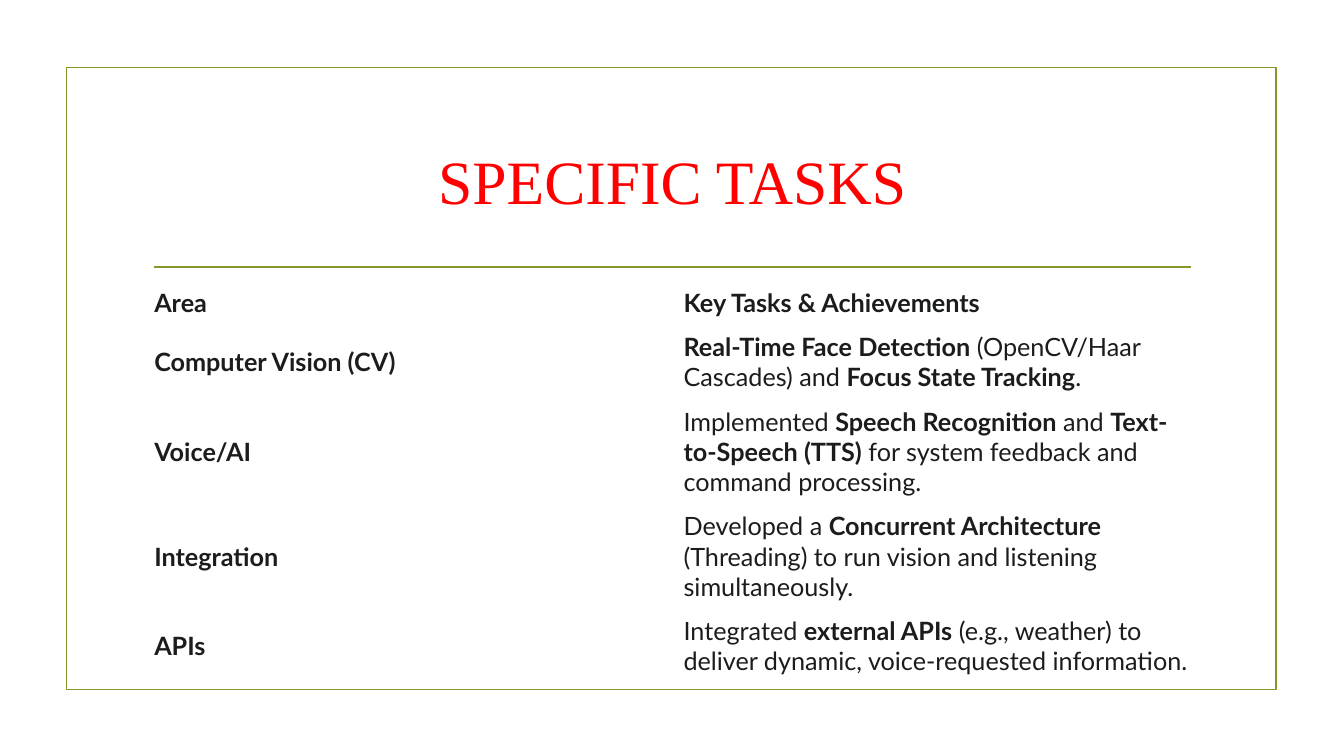
from lxml import etree
from pptx import Presentation
from pptx.dml.color import RGBColor
from pptx.enum import shapes, text
from pptx.oxml import ns
from pptx.util import Inches, Pt

COLORS = {"olive": "83992A", "title": "FF0000", "body": "1B1C1D", "border": "FFFFFF"}
TITLE = "SPECIFIC TASKS"
# Each cell is a list of spans: (wording, bold)
ROWS = [
    ([("Area", True)], [("Key Tasks & Achievements", True)]),
    ([("Computer Vision (CV)", True)],
     [("Real-Time Face Detection", True), (" (OpenCV/Haar Cascades) and ", False),
      ("Focus State Tracking", True), (".", False)]),
    ([("Voice/AI", True)],
     [("Implemented ", False), ("Speech Recognition", True), (" and ", False),
      ("Text-to-Speech (TTS)", True),
      (" for system feedback and command processing.", False)]),
    ([("Integration", True)],
     [("Developed a ", False), ("Concurrent Architecture", True),
      (" (Threading) to run vision and listening simultaneously.", False)]),
    ([("APIs", True)],
     [("Integrated ", False), ("external APIs", True),
      (" (e.g., weather) to deliver dynamic, voice-requested information.", False)]),
]
ROW_HEIGHTS = [0.41, 0.67, 0.94, 0.94, 0.67]
LEFT, WIDTH, TABLE_TOP = 1.42, 10.5, 2.78
INSET_X, INSET_Y = 0.11, 0.07


def color(name):
    return RGBColor.from_string(COLORS[name])


def style_font(font, face, size, name):
    font.name, font.size = face, Pt(size)
    font.color.rgb = color(name)


def add_borders(cell):
    properties = cell._tc.get_or_add_tcPr()
    for index, side in enumerate(("lnL", "lnR", "lnT", "lnB")):
        line = etree.Element(ns.qn(f"a:{side}"), w=str(Pt(0.75)))
        fill = etree.SubElement(line, ns.qn("a:solidFill"))
        etree.SubElement(fill, ns.qn("a:srgbClr"), val=COLORS["border"])
        properties.insert(index, line)


def fill_cell(cell, spans):
    cell.fill.background()
    add_borders(cell)
    cell.margin_left = cell.margin_right = Inches(INSET_X)
    cell.margin_top = cell.margin_bottom = Inches(INSET_Y)
    cell.vertical_anchor = text.MSO_ANCHOR.MIDDLE
    para = cell.text_frame.paragraphs[0]
    style_font(para.font, "Lato", 18, "body")
    for wording, bold in spans:
        span = para.add_run()
        span.text = wording
        span.font.bold = bold


def add_frame(page):
    frame = page.shapes.add_shape(shapes.MSO_SHAPE.RECTANGLE, Inches(0.66),
                                  Inches(0.67), Inches(12), Inches(6.17))
    frame.shadow.inherit = False
    frame.fill.background()
    frame.line.color.rgb = color("olive")
    frame.line.width = Pt(1.25)


def add_rule(page):
    y = Inches(2.65)
    rule = page.shapes.add_connector(shapes.MSO_CONNECTOR.STRAIGHT,
                                     Inches(LEFT + INSET_X), y,
                                     Inches(LEFT + WIDTH - INSET_X), y)
    rule.line.color.rgb = color("olive")
    rule.line.width = Pt(1.25)
    etree.SubElement(rule._element.spPr, ns.qn("a:effectLst"))


def add_title(page):
    box = page.shapes.add_textbox(Inches(LEFT), Inches(1.07), Inches(WIDTH), Inches(1.43))
    box.text_frame.word_wrap = True
    box.text_frame.vertical_anchor = text.MSO_ANCHOR.MIDDLE
    para = box.text_frame.paragraphs[0]
    para.text = TITLE
    para.alignment = text.PP_ALIGN.CENTER
    style_font(para.font, "Times New Roman", 44, "title")


def add_tasks(page):
    table = page.shapes.add_table(len(ROWS), 2, Inches(LEFT), Inches(TABLE_TOP),
                                  Inches(WIDTH), Inches(sum(ROW_HEIGHTS))).table
    table.first_row = table.horz_banding = False
    for row, height, contents in zip(table.rows, ROW_HEIGHTS, ROWS):
        row.height = Inches(height)
        for cell, spans in zip(row.cells, contents):
            fill_cell(cell, spans)


def main():
    deck = Presentation()
    deck.slide_width, deck.slide_height = Inches(13.33), Inches(7.5)
    page = deck.slides.add_slide(deck.slide_layouts[6])
    add_frame(page)
    add_rule(page)
    add_title(page)
    add_tasks(page)
    deck.save("out.pptx")


if __name__ == "__main__":
    main()
